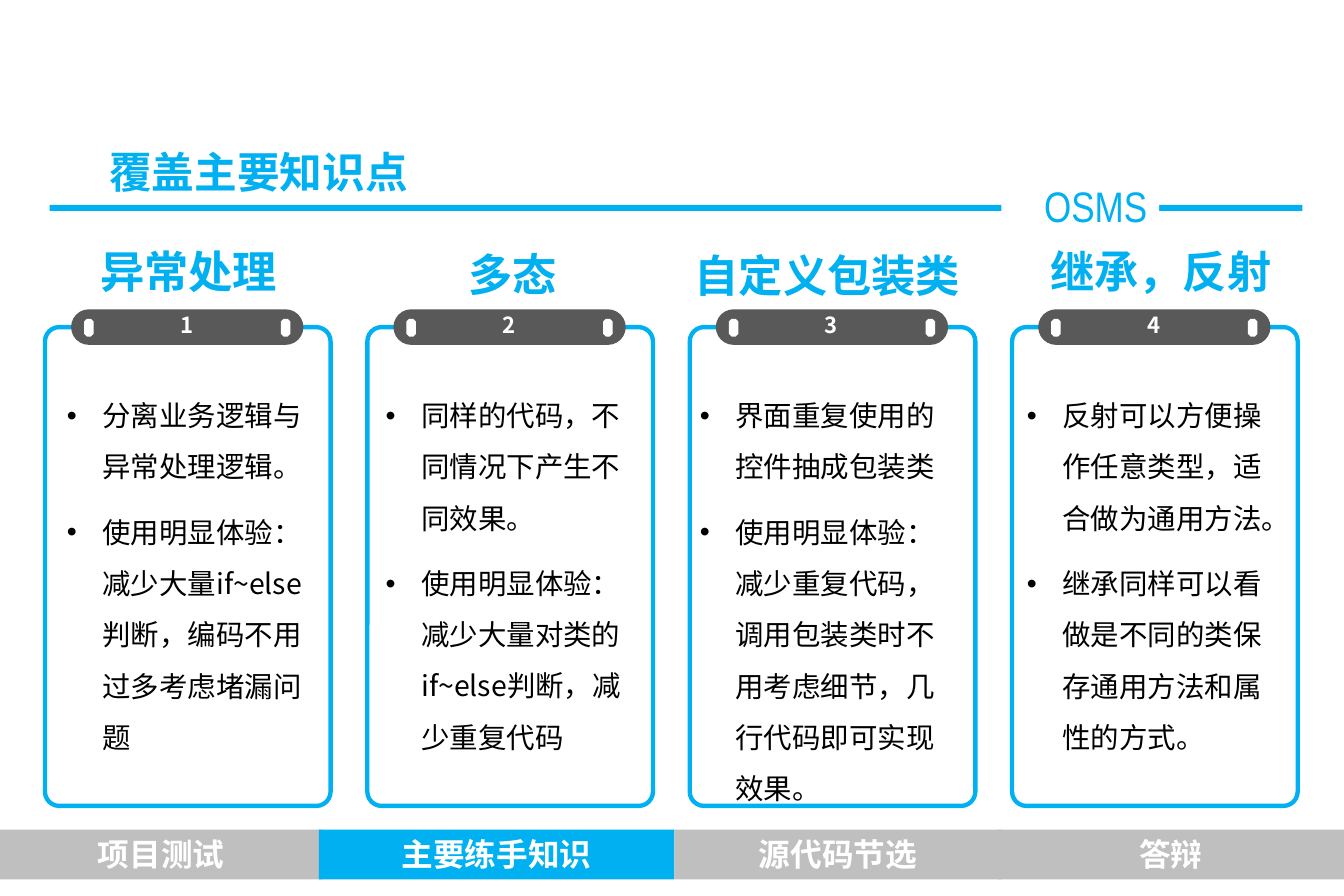
from lxml.etree import SubElement
from pptx import Presentation
from pptx.dml.color import RGBColor
from pptx.enum.shapes import MSO_SHAPE as Shape
from pptx.enum.text import MSO_ANCHOR as Anchor, MSO_AUTO_SIZE as AutoSize, PP_ALIGN as Align
from pptx.oxml.ns import qn
from pptx.util import Pt

PX = 9525  # 96 px to the inch
BLUE = RGBColor(0x00, 0xB0, 0xF0)
DARK = RGBColor(0x59, 0x59, 0x59)
GREY = RGBColor(0xBF, 0xBF, 0xBF)
WHITE = RGBColor(0xFF, 0xFF, 0xFF)
BLACK = RGBColor(0x00, 0x00, 0x00)
CJK_FONT = "Noto Sans CJK SC"

# Content: boxes are left, top, width, height in px
TITLE = "覆盖主要知识点"
LABEL = "OSMS"
CARDS = [
    ("异常处理", (57, 201, 204, 55), (47, 317, 236, 329),
     ["分离业务逻辑与异常处理逻辑。",
      "使用明显体验：减少大量if~else判断，编码不用过多考虑堵漏问题"]),
    ("多态", (342, 204, 181, 55), (316, 317, 227, 388),
     ["同样的代码，不同情况下产生不同效果。",
      "使用明显体验：减少大量对类的if~else判断，减少重复代码"]),
    ("自定义包装类", (554, 205, 288, 55), (581, 317, 221, 373),
     ["界面重复使用的控件抽成包装类",
      "使用明显体验：减少重复代码，调用包装类时不用考虑细节，几行代码即可实现效果。"]),
    ("继承，反射", (865, 201, 229, 55), (857, 317, 229, 329),
     ["反射可以方便操作任意类型，适合做为通用方法。",
      "继承同样可以看做是不同的类保存通用方法和属性的方式。"]),
]
NAVIGATION = [  # text, left, width, fill
    ("项目测试", 0, 272, GREY),
    ("主要练手知识", 269, 300, BLUE),
    ("源代码节选", 569, 276, GREY),
    ("答辩", 842, 292, GREY),
]


def emu(box):
    return [value * PX for value in box]


def add_box(shapes, kind, box, fill=None, line=None, corner=None):
    shape = shapes.add_shape(kind, *emu(box))
    shape.shadow.inherit = False
    if fill is None:
        shape.fill.background()
    else:
        shape.fill.solid()
        shape.fill.fore_color.rgb = fill
    if line is None:
        shape.line.fill.background()
    else:
        shape.line.color.rgb = line
        shape.line.width = Pt(2.75)
    if corner is not None:
        shape.adjustments[0] = corner
    return shape


def add_bullet(paragraph):
    properties = paragraph._p.get_or_add_pPr()
    properties.set("marL", str(30 * PX))
    properties.set("indent", str(-30 * PX))
    SubElement(properties, qn("a:buFont")).set("typeface", "Arial")
    SubElement(properties, qn("a:buChar")).set("char", "•")


def write(shape, lines, size, color, bold=False, align=Align.LEFT, font=CJK_FONT,
          before=0, bullets=False, wrap=True, anchor=Anchor.TOP, fit=AutoSize.SHAPE_TO_FIT_TEXT):
    frame = shape.text_frame
    frame.word_wrap = wrap
    frame.auto_size = fit
    frame.vertical_anchor = anchor
    frame.text = "\n".join(lines)
    for paragraph in frame.paragraphs:
        if bullets:
            add_bullet(paragraph)
            paragraph.line_spacing = 1.5
        paragraph.alignment = align
        paragraph.space_before = Pt(before)
        paragraph.font.size = Pt(size)
        paragraph.font.bold = bold
        paragraph.font.color.rgb = color
        paragraph.font.name = font
        defaults = paragraph._p.pPr.find(qn("a:defRPr"))
        SubElement(defaults, qn("a:ea")).set("typeface", font)


presentation = Presentation()
presentation.slide_width, presentation.slide_height = emu((1134, 756))
slide = presentation.slides.add_slide(presentation.slide_layouts[5])
shapes = slide.shapes

# Title
title = shapes.title
title.left, title.top, title.width, title.height = emu((81, 115, 1020, 60))
write(title, [TITLE], 27, BLUE, bold=True, anchor=Anchor.MIDDLE, fit=AutoSize.NONE)
title.text_frame.margin_left = title.text_frame.margin_right = 11 * PX

# Rule with its label
add_box(shapes, Shape.RECTANGLE, (42, 173, 1057, 5), BLUE)
label = add_box(shapes, Shape.RECTANGLE, (845, 146, 133, 55), WHITE)
write(label, [LABEL], 27, BLUE, font="Arial Narrow")
label.text_frame.margin_left = 36 * PX
label.text_frame.margin_top = label.text_frame.margin_bottom = 6 * PX

# Cards: frame, clip with two holes and number, then heading and bullets
for index, (heading, heading_box, body_box, points) in enumerate(CARDS):
    left = 38 + index * 272
    card = shapes.add_group_shape().shapes
    add_box(card, Shape.ROUNDED_RECTANGLE, (left, 276, 241, 404), line=BLUE, corner=0.05)
    add_box(card, Shape.ROUNDED_RECTANGLE, (left + 22, 261, 196, 30), DARK, corner=0.5)
    for offset in (33, 199):
        add_box(card, Shape.OCTAGON, (left + offset, 269, 8, 15), WHITE, corner=0.29)
    number = card.add_textbox(*emu((left + 104, 258, 31, 33)))
    write(number, [str(index + 1)], 14, WHITE, bold=True, align=Align.CENTER, wrap=False)

    write(shapes.add_textbox(*emu(heading_box)), [heading], 28, BLUE,
          bold=True, align=Align.CENTER, before=14)
    write(shapes.add_textbox(*emu(body_box)), points, 18, BLACK, before=9, bullets=True)

# Navigation bar
bar = shapes.add_group_shape().shapes
for text, left, width, fill in NAVIGATION:
    tab = add_box(bar, Shape.RECTANGLE, (left, 700, width, 42), fill)
    write(tab, [text], 20, WHITE, bold=True, align=Align.CENTER)

presentation.save("out.pptx")
